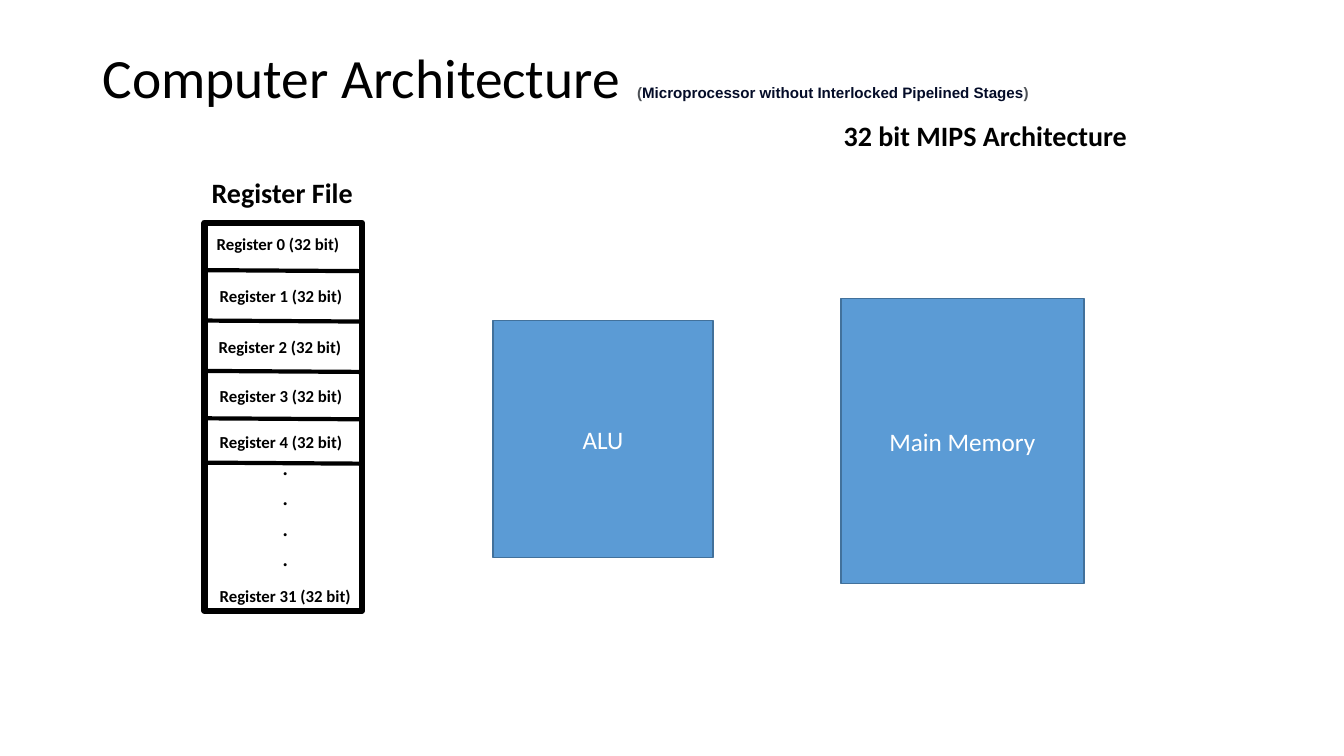
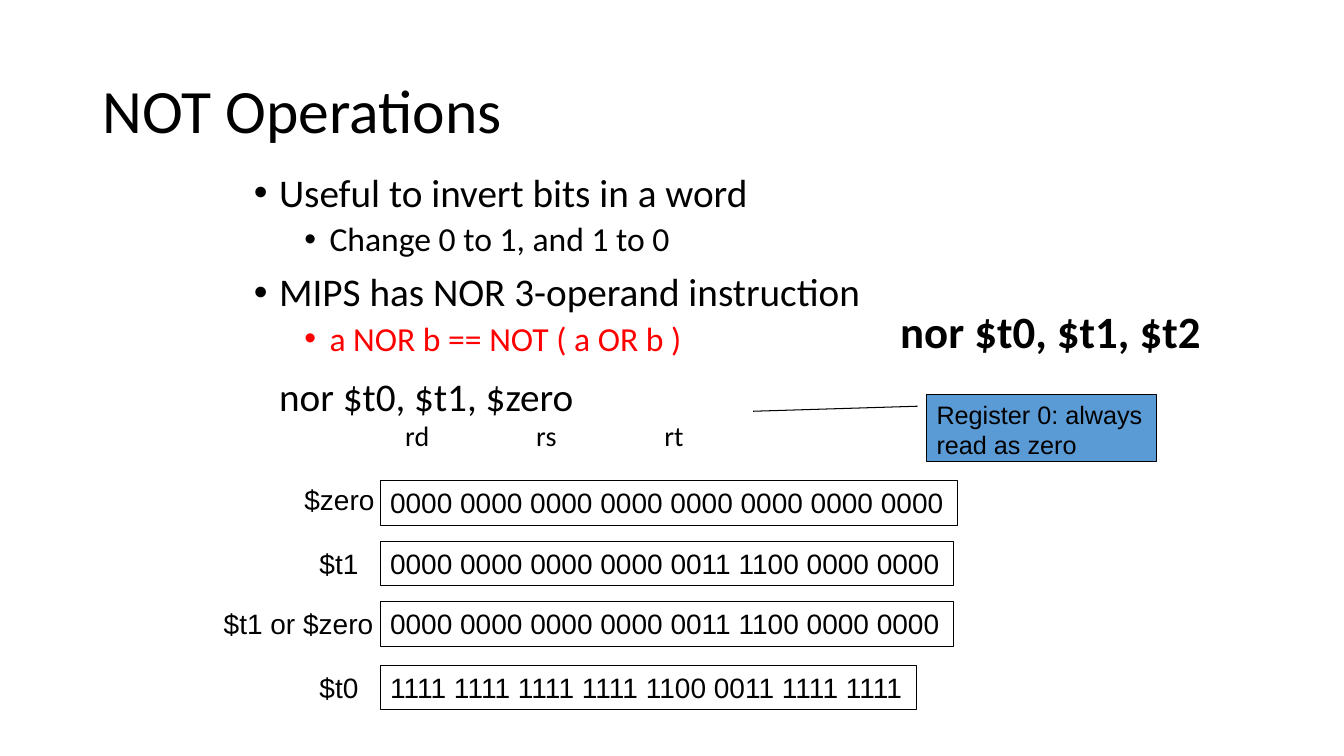
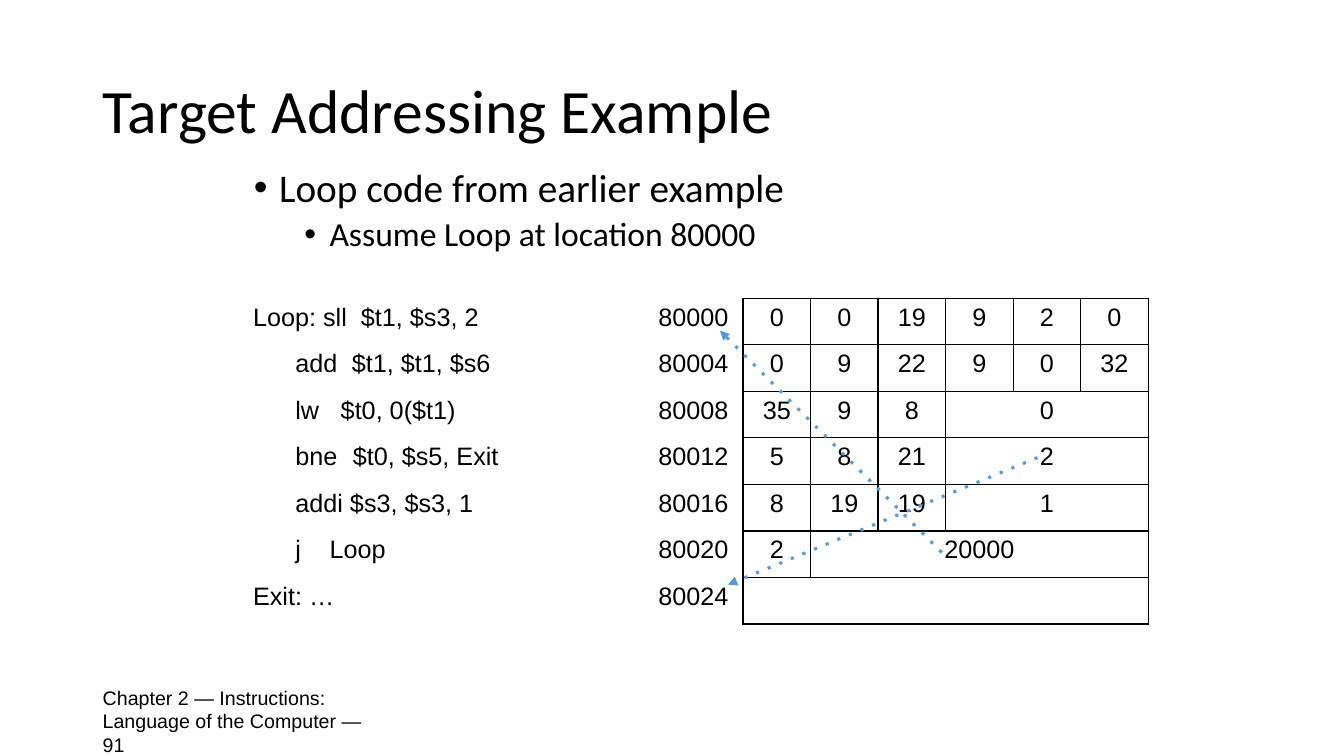
from collections import namedtuple

from lxml.etree import SubElement
from pptx import Presentation
from pptx.dml.color import RGBColor
from pptx.enum.shapes import MSO_CONNECTOR, MSO_SHAPE
from pptx.enum.text import MSO_ANCHOR, PP_ALIGN
from pptx.oxml.ns import qn
from pptx.util import Inches, Pt

BLACK = RGBColor(0x00, 0x00, 0x00)
WHITE = RGBColor(0xFF, 0xFF, 0xFF)
BLUE = RGBColor(0x5B, 0x9B, 0xD5)
DARK_BLUE = RGBColor(0x42, 0x71, 0x9B)
RED = RGBColor(0xFF, 0x00, 0x00)
GREY = RGBColor(0x4D, 0x51, 0x56)
NAVY = RGBColor(0x04, 0x0C, 0x28)
BODY, CODE = "Calibri", "Arial"


class Box(namedtuple("Box", "x y w h")):
    def sub(self, dx, dy, w, h):
        return Box(self.x + dx, self.y + dy, w, h)

    def emu(self):
        return [Inches(v) for v in self]


TITLE = Box(0.92, 0.4, 11.5, 1.45)


def add_run(p, text, size, font=BODY, color=BLACK, bold=False):
    r = p.add_run()
    r.text = text
    r.font.size = Pt(size)
    r.font.name = font
    r.font.color.rgb = color
    r.font.bold = bold
    return r


def add_text(s, box, text="", size=18, font=BODY, bold=False, anchor=MSO_ANCHOR.TOP):
    tf = s.shapes.add_textbox(*box.emu()).text_frame
    tf.word_wrap = True
    tf.vertical_anchor = anchor
    if text:
        add_run(tf.paragraphs[0], text, size, font, BLACK, bold)
    return tf


def add_rect(s, box, fill=None, line=BLACK, width=0.75):
    sp = s.shapes.add_shape(MSO_SHAPE.RECTANGLE, *box.emu())
    sp.shadow.inherit = False
    if fill is None:
        sp.fill.background()
    else:
        sp.fill.solid()
        sp.fill.fore_color.rgb = fill
    sp.line.color.rgb = line
    sp.line.width = Pt(width)
    return sp


def fill_text(sp, text, size, font=BODY, color=BLACK,
              align=PP_ALIGN.LEFT, anchor=MSO_ANCHOR.TOP):
    tf = sp.text_frame
    tf.word_wrap = True
    tf.vertical_anchor = anchor
    tf.paragraphs[0].alignment = align
    add_run(tf.paragraphs[0], text, size, font, color)


def add_line(s, box, start, end, color=BLACK, width=0.75, arrow=False):
    ends = [Inches(o + v) for pt in (start, end) for o, v in zip((box.x, box.y), pt)]
    ln = s.shapes.add_connector(MSO_CONNECTOR.STRAIGHT, *ends)
    ln.line.color.rgb = color
    ln.line.width = Pt(width)
    if arrow:
        props = ln.line._get_or_add_ln()
        SubElement(props, qn("a:prstDash"), val="dot")
        SubElement(props, qn("a:tailEnd"), type="triangle")
    SubElement(ln._element.spPr, qn("a:effectLst"))


def set_tabs(p, *stops):
    tabs = SubElement(p._p.get_or_add_pPr(), qn("a:tabLst"))
    for stop in stops:
        SubElement(tabs, qn("a:tab"), pos=str(Inches(stop)), algn="l")


def add_title(s, text, size=44, box=TITLE):
    tf = add_text(s, box, text, size, anchor=MSO_ANCHOR.MIDDLE)
    p = tf.paragraphs[0]
    p.line_spacing = 0.9
    return p


def add_bullets(s, box, items):
    tf = add_text(s, box)
    for i, (text, level, before, color, mark) in enumerate(items):
        p = tf.paragraphs[0] if i == 0 else tf.add_paragraph()
        p.level = level
        p.line_spacing = 0.9
        p.space_before = Pt(before)
        pPr = p._p.get_or_add_pPr()
        pPr.set("marL", str(Inches(0.25 + 0.5 * level)))
        pPr.set("indent", str(Inches(-0.25 if mark else 0)))
        if mark:
            clr = SubElement(pPr, qn("a:buClr"))
            SubElement(clr, qn("a:srgbClr"), val=str(color))
            SubElement(pPr, qn("a:buFont"), typeface="Arial")
            SubElement(pPr, qn("a:buChar"), char="•")
        else:
            SubElement(pPr, qn("a:buNone"))
        add_run(p, text, 28 - 4 * level, BODY, color)


def register_file(s, box):
    add_text(s, box.sub(-0.03, -0.52, 3.87, 0.44), "Register File", 20, bold=True)
    add_rect(s, box, WHITE, BLACK, 4.5)
    dividers = [(0, 0.47), (-0.03, 0.97), (0.01, 1.47), (0.02, 1.94), (0.02, 2.38)]
    for dx, dy in dividers:
        add_line(s, box, (dx, dy), (dx + box.w, dy + 0.01), BLACK, 3)
    labels = [(0, 0.02, 0.06), (1, 0.05, 0.58), (2, 0.04, 1.08),
              (3, 0.05, 1.57), (4, 0.05, 2.02), (31, 0.05, 3.55)]
    for number, dx, dy in labels:
        add_text(s, box.sub(dx, dy, 2.28, 0.3), f"Register {number} (32 bit)", 12, bold=True)
    tf = add_text(s, box.sub(0.67, 2.21, 0.38, 1.31))
    for i in range(4):
        add_run(tf.paragraphs[0] if i == 0 else tf.add_paragraph(), ".", 18)


def unit(s, box, name):
    sp = add_rect(s, box, BLUE, DARK_BLUE, 1)
    fill_text(sp, name, 18, BODY, WHITE, PP_ALIGN.CENTER, MSO_ANCHOR.MIDDLE)


def architecture_slide(s):
    p = add_title(s, "Computer Architecture ", 39.6, Box(0.92, 0.43, 11.5, 0.73))
    add_run(p, " ", 10.8, CODE, GREY)
    add_run(p, "(", 10.8, CODE, GREY, True)
    add_run(p, "Microprocessor without Interlocked Pipelined Stages", 10.8, CODE, NAVY, True)
    add_run(p, ")", 10.8, CODE, GREY, True)
    add_text(s, Box(8.27, 1.13, 3.87, 0.44), "32 bit MIPS Architecture", 20, bold=True)
    register_file(s, Box(2.03, 2.21, 1.56, 3.85))
    unit(s, Box(4.89, 3.18, 2.18, 2.35), "ALU")
    unit(s, Box(8.34, 2.96, 2.41, 2.83), "Main Memory")


def bit_rows(s, box):
    zeros = "0000 0000 0000 0000 0000 0000 0000 0000"
    t1 = "0000 0000 0000 0000 0011 1100 0000 0000"
    t0 = "1111 1111 1111 1111 1100 0011 1111 1111"
    rows = [("$zero", 0.8, -0.03, zeros, 5.73, 0), ("$t1", 0.95, 0.6, t1, 5.69, 0.6),
            ("$t1 or $zero", 0, 1.2, t1, 5.69, 1.2), ("$t0", 0.95, 1.83, t0, 5.32, 1.83)]
    for name, dx, label_y, bits, width, dy in rows:
        add_text(s, box.sub(dx, label_y, 1.75 - dx, 0.44), name, 20, CODE)
        fill_text(add_rect(s, box.sub(1.65, dy, width, 0.44)), bits, 20, CODE)


def callout(s, box, text):
    fill_text(add_rect(s, box, BLUE), text, 18, CODE)
    add_line(s, box, (-0.09, 0.12), (-1.72, 0.17))


def not_slide(s):
    add_title(s, "NOT Operations")
    add_bullets(s, Box(2.42, 1.67, 9.05, 3.53), [
        ("Useful to invert bits in a word", 0, 0, BLACK, True),
        ("Change 0 to 1, and 1 to 0", 1, 5, BLACK, True),
        ("MIPS has NOR 3-operand instruction", 0, 10, BLACK, True),
        ("a NOR b == NOT ( a OR b )", 1, 5, RED, True),
        ("nor $t0, $t1, $zero", 0, 14, BLACK, False)])
    callout(s, Box(9.19, 3.91, 2.28, 0.67), "Register 0: always read as zero")
    fields = add_text(s, Box(3.92, 4.1, 3.39, 0.44), "rd\trs\trt", 20)
    set_tabs(fields.paragraphs[0], 1.3, 2.57)
    add_text(s, Box(8.83, 2.96, 3.39, 0.64), "nor $t0, $t1, $t2", 32, bold=True)
    bit_rows(s, Box(2.12, 4.77, 7.38, 2.27))


def set_borders(cell, left, right, top, bottom):
    tcPr = cell._tc.get_or_add_tcPr()
    edges = zip(("a:lnL", "a:lnR", "a:lnT", "a:lnB"), (left, right, top, bottom))
    for i, (tag, color) in enumerate(edges):
        ln = SubElement(tcPr, qn(tag), w=str(Pt(1)))
        fill = SubElement(ln, qn("a:solidFill"))
        SubElement(fill, qn("a:srgbClr"), val=str(color))
        tcPr.remove(ln)
        tcPr.insert(i, ln)


def code_table(s, box):
    rows = [("Loop: sll\t$t1, $s3, 2", 0, 1.07, [0, 0, 19, 9, 2, 0]),
            ("add\t$t1, $t1, $s6", 0.42, 0.56, [0, 9, 22, 9, 0, 32]),
            ("lw\t$t0, 0($t1)", 0.42, 0.45, [35, 9, 8, 0]),
            ("bne\t$t0, $s5, Exit", 0.42, 0.57, [5, 8, 21, 2]),
            ("addi $s3, $s3, 1", 0.42, None, [8, 19, 19, 1]),
            ("j\tLoop", 0.42, 0.34, [2, 20000]),
            ("Exit: …", 0, None, [""])]
    widths = [4.02, 0.94] + [0.67] * 6
    tbl = s.shapes.add_table(len(rows), len(widths), *box.emu()).table
    tbl.first_row = tbl.horz_banding = False
    for col, width in zip(tbl.columns, widths):
        col.width = Inches(width)
    for i, (code, indent, stop, fields) in enumerate(rows):
        tbl.rows[i].height = Inches(box.h / len(rows))
        last = 1 + len(fields)
        if last < 7:
            tbl.cell(i, last).merge(tbl.cell(i, 7))
        for j in range(len(widths)):
            cell = tbl.cell(i, j)
            cell.fill.background()
            side = BLACK if j > 1 else WHITE
            set_borders(cell, side, BLACK if j else WHITE, side, side)
        for j, text in enumerate([code, 80000 + 4 * i] + fields):
            p = tbl.cell(i, j).text_frame.paragraphs[0]
            p.alignment = PP_ALIGN.CENTER if j > 1 else PP_ALIGN.LEFT
            if text != "":
                add_run(p, str(text), 18, CODE)
        first = tbl.cell(i, 0)
        first.margin_left = Inches(0.1 + indent)
        if stop:
            set_tabs(first.text_frame.paragraphs[0], stop)
    add_line(s, box, (6.93, 2.52), (4.73, 0.32), BLUE, 2.25, True)
    add_line(s, box, (7.88, 1.58), (4.81, 2.84), BLUE, 2.25, True)


def addressing_slide(s):
    add_text(s, Box(0.92, 6.95, 3, 0.4),
             "Chapter 2 — Instructions: Language of the Computer — 91",
             14, CODE, anchor=MSO_ANCHOR.MIDDLE)
    add_title(s, "Target Addressing Example")
    add_bullets(s, Box(2.42, 1.62, 9.05, 1.34), [
        ("Loop code from earlier example", 0, 0, BLACK, True),
        ("Assume Loop at location 80000", 1, 5, BLACK, True)])
    code_table(s, Box(2.41, 2.96, 8.98, 3.23))


def main():
    prs = Presentation()
    prs.slide_width, prs.slide_height = Inches(13.33), Inches(7.5)
    for build in (architecture_slide, not_slide, addressing_slide):
        build(prs.slides.add_slide(prs.slide_layouts[6]))
    prs.save("out.pptx")


if __name__ == "__main__":
    main()
